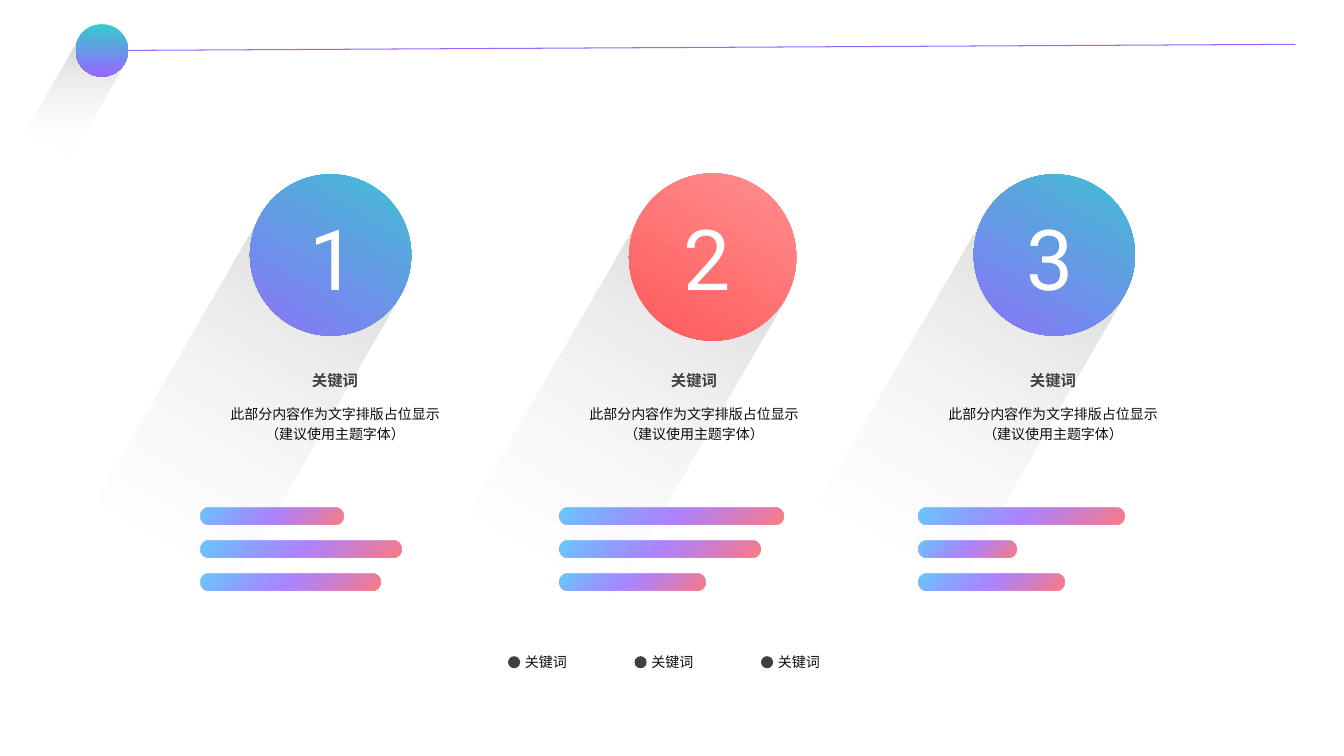
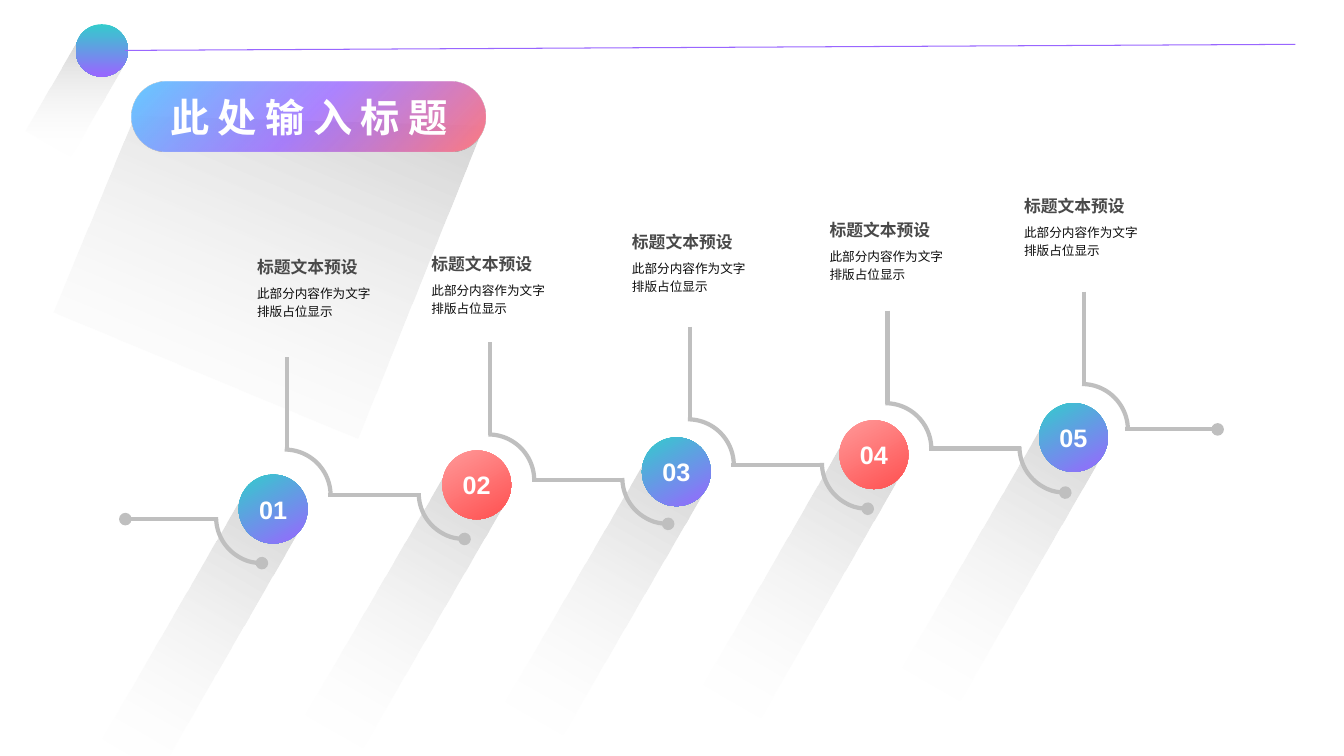
import math

from lxml import etree
from pptx import Presentation
from pptx.dml.color import RGBColor
from pptx.enum.shapes import MSO_CONNECTOR, MSO_SHAPE
from pptx.enum.text import MSO_ANCHOR, PP_ALIGN
from pptx.oxml.ns import qn
from pptx.util import Emu, Inches, Pt

LEFT, CENTER = PP_ALIGN.LEFT, PP_ALIGN.CENTER
TOP, MIDDLE = MSO_ANCHOR.TOP, MSO_ANCHOR.MIDDLE
OVAL, ROUNDED, RECTANGLE, ARC = (
    MSO_SHAPE.OVAL, MSO_SHAPE.ROUNDED_RECTANGLE, MSO_SHAPE.RECTANGLE, MSO_SHAPE.ARC)
STRAIGHT = MSO_CONNECTOR.STRAIGHT

# The slide is a grid of 80 columns by 45 rows of square cells
COLUMNS, ROWS = 80, 45
CELL = Inches(7.5) / ROWS

COLORS = {
    "white": "FFFFFF", "ink": "0C0C0C", "dark": "3F3F3F", "heading": "494949",
    "track": "BFBFBF", "teal": "33CCCC", "violet": "9966FF", "sky": "66CCFF",
    "coral": "FF7C80", "pink": "FF9999", "red": "FF5050",
}
# Gradient stops: position, colour, opacity (all in percent)
GRADIENTS = {
    "cool": [(0, "teal", 100), (100, "violet", 100)],
    "warm": [(0, "pink", 100), (100, "red", 100)],
    "rainbow": [(0, "sky", 100), (50, "violet", 80), (100, "coral", 100)],
    "shadow": [(0, "track", 70), (100, "white", 0)],
}
SHADOW_TILT = 30

BODY_TEXT = "此部分内容作为文字排版占位显示"


def cells(count):
    return Emu(round(count * CELL))


def color(name):
    return RGBColor.from_string(COLORS[name])


def write(shape, text, size=10, ink="ink", bold=False, font="Arial", align=CENTER,
          anchor=MIDDLE, wrap=True, inset=0, inset_y=0, line_spacing=None, tracking=None):
    """Put one formatted paragraph into a shape; a newline is a line break."""
    frame = shape.text_frame
    frame.word_wrap = wrap
    frame.vertical_anchor = anchor
    frame.margin_left = frame.margin_right = cells(inset)
    frame.margin_top = frame.margin_bottom = cells(inset_y)
    paragraph = frame.paragraphs[0]
    paragraph.text = text
    paragraph.alignment = align
    paragraph.line_spacing = line_spacing
    for run in paragraph.runs:
        run.font.name, run.font.size, run.font.bold = font, Pt(size), bold
        run.font.color.rgb = color(ink)
        if tracking:
            run._r.get_or_add_rPr().set("spc", str(tracking * 100))
    for line_break in paragraph._p.findall(qn("a:br")):
        etree.SubElement(line_break, qn("a:rPr"), sz=str(size * 100))


class Deck:
    """Holds the style and the current slide; all lengths are grid cells."""

    def __init__(self):
        self.presentation = Presentation()
        self.presentation.slide_width = cells(COLUMNS)
        self.presentation.slide_height = cells(ROWS)
        self.slide = None

    def new_slide(self):
        layout = self.presentation.slide_layouts[6]
        self.slide = self.presentation.slides.add_slide(layout)
        self.header()

    def header(self):
        self.shadow(6.06, 3, 3.12, 6.42, angle=60)
        self.disc(6.06, 3, 3.12, "cool")
        self.line(7.44, 3, 77.1, 2.64, "violet", 0.75)

    # Filled shapes
    def paint(self, shape, fill, angle):
        shape.shadow.inherit = False
        shape.line.fill.background()
        if fill not in GRADIENTS:
            shape.fill.solid()
            shape.fill.fore_color.rgb = color(fill)
            return
        shape.fill.gradient()
        shape.fill.gradient_angle = (360 - angle) % 360
        stops = shape._element.spPr.find(qn("a:gradFill")).find(qn("a:gsLst"))
        stops.clear()
        for position, name, opacity in GRADIENTS[fill]:
            stop = etree.SubElement(stops, qn("a:gs"), pos=str(position * 1000))
            tint = etree.SubElement(stop, qn("a:srgbClr"), val=COLORS[name])
            if opacity < 100:
                etree.SubElement(tint, qn("a:alpha"), val=str(opacity * 1000))

    def box(self, kind, left, top, width, height, fill, angle=90, rotation=0):
        shape = self.slide.shapes.add_shape(
            kind, cells(left), cells(top), cells(width), cells(height))
        shape.rotation = rotation
        self.paint(shape, fill, angle)
        return shape

    def disc(self, x, y, size, fill, angle=90, rotation=0):
        return self.box(OVAL, x - size / 2, y - size / 2, size, size, fill, angle, rotation)

    def pill(self, left, top, width, height):
        shape = self.box(ROUNDED, left, top, width, height, "rainbow", 45)
        shape.adjustments[0] = 0.5
        return shape

    def shadow(self, x, y, width, length, angle=90):
        """A long shadow that falls to the lower left from the point x, y."""
        tilt = math.radians(SHADOW_TILT)
        middle_x = x - math.sin(tilt) * length / 2
        middle_y = y + math.cos(tilt) * length / 2
        self.box(RECTANGLE, middle_x - width / 2, middle_y - length / 2,
                 width, length, "shadow", angle, SHADOW_TILT)

    def polygon(self, points, fill, angle):
        corners = [(cells(x), cells(y)) for x, y in points]
        builder = self.slide.shapes.build_freeform(*corners[0])
        builder.add_line_segments(corners[1:], close=True)
        self.paint(builder.convert_to_shape(), fill, angle)

    # Lines
    def stroke(self, shape, ink, width, dot):
        shape.line.color.rgb = color(ink)
        shape.line.width = Pt(width)
        if dot:
            etree.SubElement(shape.line._get_or_add_ln(), qn(f"a:{dot}End"), type="oval")

    def line(self, x1, y1, x2, y2, ink="track", width=3, dot=None):
        connector = self.slide.shapes.add_connector(
            STRAIGHT, cells(x1), cells(y1), cells(x2), cells(y2))
        self.stroke(connector, ink, width, dot)
        etree.SubElement(connector._element.spPr, qn("a:effectLst"))

    def arc(self, left, top, size, rotation=0, dot=None):
        shape = self.slide.shapes.add_shape(
            ARC, cells(left), cells(top), cells(size), cells(size))
        shape.rotation = rotation
        shape.shadow.inherit = False
        shape.fill.background()
        self.stroke(shape, "track", 3, dot)

    # Text
    def text(self, left, top, width, height, text, **style):
        shape = self.slide.shapes.add_textbox(
            cells(left), cells(top), cells(width), cells(height))
        write(shape, text, **style)


def keyword_slide(deck):
    deck.new_slide()
    # Circle centre, size, fill, left edge of the number, bar widths
    topics = [
        (19.68, 15.18, 9.6, "cool", 17.82, (8.52, 11.94, 10.68)),
        (42.42, 15.3, 9.96, "warm", 40.08, (13.32, 11.94, 8.7)),
        (62.76, 15.18, 9.6, "cool", 60.54, (12.24, 5.82, 8.7)),
    ]
    for x, y, size, *_ in topics:
        deck.shadow(x, y, size, size * 2.05)

    for index, (x, y, size, fill, number_left, bars) in enumerate(topics):
        # Keyword, description and bars
        left = 11.94 + 21.37 * index
        middle = left + 8
        deck.text(middle - 5.5, 20.76, 11, 3.72, "关键词",
                  size=11, ink="dark", bold=True, wrap=False)
        deck.text(middle - 6.75, 23.28, 13.5, 3.72,
                  BODY_TEXT + "\n（建议使用主题字体）", line_spacing=1.2)
        for row, width in enumerate(bars):
            deck.pill(left, 30.24 + 1.95 * row, width, 1)
        # Numbered circle
        deck.disc(x, y, size, fill, rotation=SHADOW_TILT)
        deck.text(number_left, 12, 5.4, 6.66, str(index + 1), size=60, ink="white",
                  font="Roboto", align=LEFT, anchor=TOP, inset=0.6, inset_y=0.3)
        # Legend entry
        legend_left = 30.24 + 7.53 * index
        deck.disc(legend_left + 0.36, 39.42, 0.72, "dark")
        deck.text(legend_left, 38.28, 4.5, 2.22, "关键词", wrap=False)


def timeline_slide(deck):
    deck.new_slide()
    # Title
    deck.polygon([(8.04, 6.9), (28.8, 7.5), (21.3, 26.1), (3.18, 18.6)], "shadow", 112.4)
    title = deck.pill(7.86, 4.86, 21.06, 4.14)
    write(title, "此处输入标题", size=28, ink="white", bold=True, tracking=6)

    # Circle centre, then left and top of the label
    steps = [
        (16.26, 30.3, 13.44, 14.88),
        (28.38, 28.86, 23.82, 14.7),
        (40.26, 28.08, 35.76, 13.38),
        (52.02, 27.06, 47.52, 12.66),
        (63.9, 26.04, 59.1, 11.22),
    ]
    for x, y, *_ in steps:
        deck.shadow(x, y, 3.96, 16.92)
    for index, (x, y, left, top) in enumerate(steps):
        circle = deck.disc(x, y, 4.1, "warm" if index % 2 else "cool", angle=60)
        write(circle, f"{index + 1:02d}", size=18, ink="white", bold=True, wrap=False)
        deck.text(left, top, 10.08, 2.04, "标题文本预设", size=12, ink="heading",
                  bold=True, align=LEFT, wrap=False, inset=1.86)
        deck.text(left, top + 1.22, 10.68, 3.66, BODY_TEXT, size=9,
                  align=LEFT, inset=1.86, line_spacing=1.2)

    # Track: each link runs from one step's upper arc to the next step's lower arc
    links = [(2.16, 28.2), (14.22, 26.76), (26.34, 25.86),
             (38.22, 24.96), (49.98, 24), (61.68, 22.86)]
    arc_size = 5.46
    for index, (left, top) in enumerate(links):
        first, last = index == 0, index == len(links) - 1
        if not first:
            deck.line(left + 2.85, top - 5.5, left + 2.85, top + 0.05)
            deck.arc(left, top, arc_size)
        end_dot = "head" if first else "tail" if last else None
        deck.line(left + 5.3, top + 2.7, left + 10.8, top + 2.7, dot=end_dot)
        if not last:
            deck.arc(left + 10.7, top - 0.14, arc_size, rotation=180, dot="head")


def main():
    deck = Deck()
    keyword_slide(deck)
    timeline_slide(deck)
    deck.presentation.save("out.pptx")


if __name__ == "__main__":
    main()
